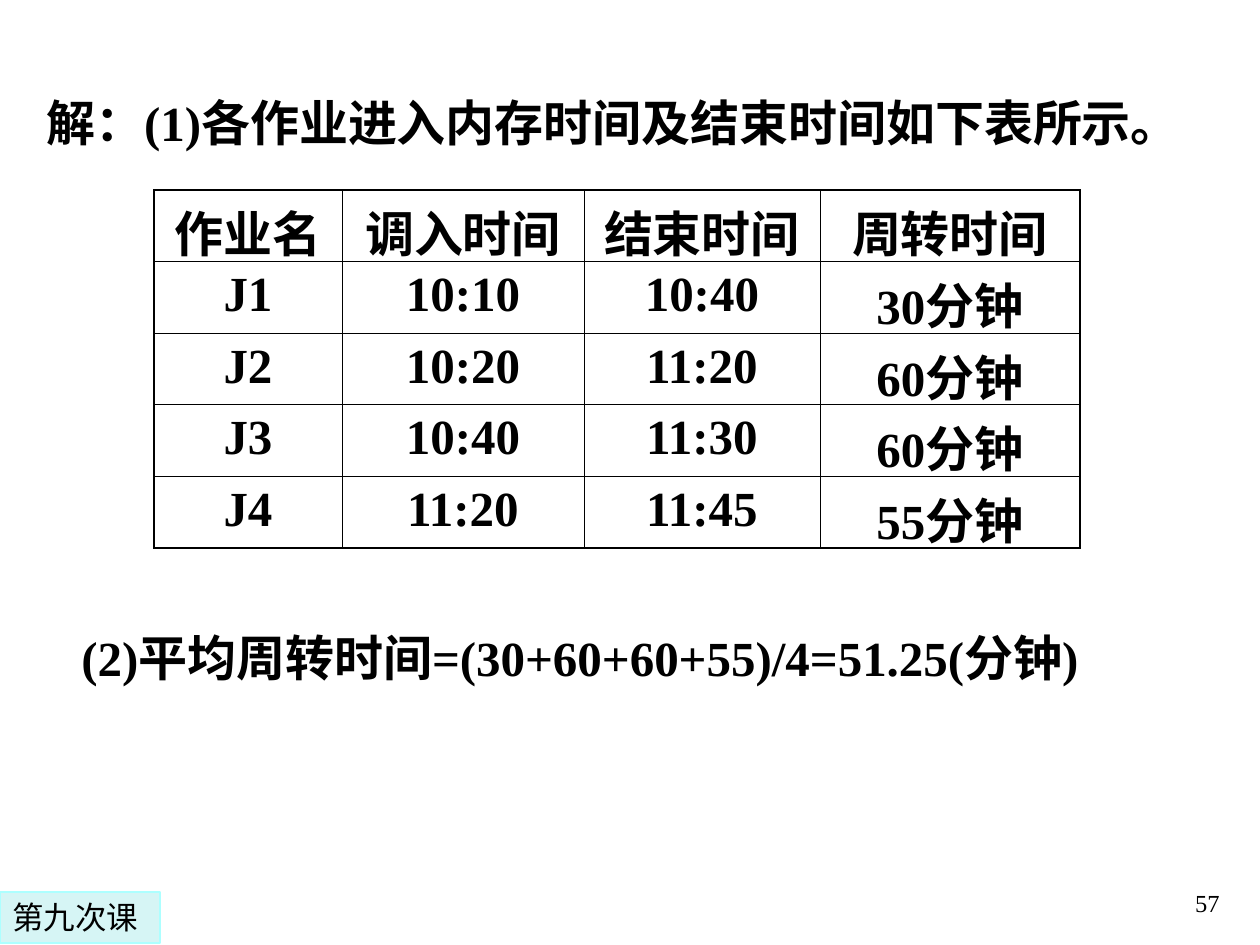
import dataclasses
import pptx
import pptx.util
import pptx.dml.color
import pptx.enum.shapes
import pptx.enum.text
import pptx.oxml.ns
import lxml.etree

SCALE = 914400 / 126
ALIGN = pptx.enum.text.PP_ALIGN
ANCHOR = pptx.enum.text.MSO_ANCHOR


@dataclasses.dataclass(frozen=True)
class Theme:
    """Hold the colours, fonts, type sizes and line widths."""
    ink: str = "000000"
    tint: str = "D6F5F5"
    edge: str = "ADFFFF"
    serif: str = "Times New Roman"
    sans: str = "DejaVu Sans"
    main: int = 28
    tag: int = 18
    note: int = 14
    thick: float = 1.08
    thin: float = 0.45


THEME = Theme()

ROWS = [
    ["作业名", "调入时间", "结束时间", "周转时间"],
    ["J1", "10:10", "10:40", "30分钟"],
    ["J2", "10:20", "11:20", "60分钟"],
    ["J3", "10:40", "11:30", "60分钟"],
    ["J4", "11:20", "11:45", "55分钟"],
]
WIDTHS = [188, 242, 236, 260]


def px(num):
    """Turn px into EMU."""
    return pptx.util.Emu(round(num * SCALE))


def rgb(code):
    """Turn a hex code into a colour."""
    return pptx.dml.color.RGBColor.from_string(code)


def write(frame, text, size, bold=False, face=THEME.serif, align=ALIGN.LEFT):
    """Set and format the one paragraph of a frame."""
    frame.text = text
    para = frame.paragraphs[0]
    para.alignment = align
    for run in para.runs:
        run.font.size = pptx.util.Pt(size)
        run.font.bold = bold
        run.font.name = face
        run.font.color.rgb = rgb(THEME.ink)


def add_text(slide, box, text, size, anchor=ANCHOR.TOP, **style):
    """Add a wrapped text box."""
    frame = slide.shapes.add_textbox(*map(px, box)).text_frame
    frame.word_wrap = True
    frame.vertical_anchor = anchor
    write(frame, text, size, **style)


def add_tag(slide, box, text):
    """Add the tinted lesson tag."""
    shape = slide.shapes.add_shape(
        pptx.enum.shapes.MSO_SHAPE.RECTANGLE, *map(px, box))
    shape.shadow.inherit = False
    shape.fill.solid()
    shape.fill.fore_color.rgb = rgb(THEME.tint)
    shape.line.color.rgb = rgb(THEME.edge)
    shape.line.width = pptx.util.Pt(0.75)
    shape.text_frame.vertical_anchor = ANCHOR.TOP
    write(shape.text_frame, text, THEME.tag, face=THEME.sans)


def rule_cell(cell, outer):
    """Draw the four borders of a cell, thick on its outer sides."""
    props = cell._tc.get_or_add_tcPr()
    name = pptx.oxml.ns.qn
    for spot, side in enumerate("LRTB"):
        width = THEME.thick if side in outer else THEME.thin
        line = lxml.etree.Element(name("a:ln" + side),
                                  w=str(pptx.util.Pt(width)))
        fill = lxml.etree.SubElement(line, name("a:solidFill"))
        lxml.etree.SubElement(fill, name("a:srgbClr"), val=THEME.ink)
        props.insert(spot, line)


def add_grid(slide, left, top, high):
    """Add the table of job times."""
    rows, cols = len(ROWS), len(WIDTHS)
    grid = slide.shapes.add_table(
        rows, cols, px(left), px(top), px(sum(WIDTHS)), px(high)).table
    grid.first_row = grid.horz_banding = False
    for col, width in zip(grid.columns, WIDTHS):
        col.width = px(width)
    for i, row in enumerate(ROWS):
        grid.rows[i].height = px(high / rows)
        for j, text in enumerate(row):
            cell = grid.cell(i, j)
            cell.fill.background()
            write(cell.text_frame, text, THEME.main, bold=True,
                  align=ALIGN.CENTER)
            sides = {"L": j == 0, "R": j == cols - 1,
                     "T": i == 0, "B": i == rows - 1}
            rule_cell(cell, [side for side in sides if sides[side]])


def main():
    """Build and save the slide."""
    deck = pptx.Presentation()
    deck.slide_width, deck.slide_height = px(1260), px(945)
    slide = deck.slides.add_slide(deck.slide_layouts[6])
    add_text(slide, (970, 861, 262, 63), "57", THEME.note,
             anchor=ANCHOR.BOTTOM, align=ALIGN.RIGHT)
    add_grid(slide, 154, 190, 358)
    add_text(slide, (69, 621, 1153, 72),
             "(2)平均周转时间=(30+60+60+55)/4=51.25(分钟)",
             THEME.main, bold=True)
    add_text(slide, (34, 86, 1171, 72),
             "解：(1)各作业进入内存时间及结束时间如下表所示。",
             THEME.main, bold=True)
    add_tag(slide, (0, 892, 160, 51), "第九次课")
    deck.save("out.pptx")


if __name__ == "__main__":
    main()
